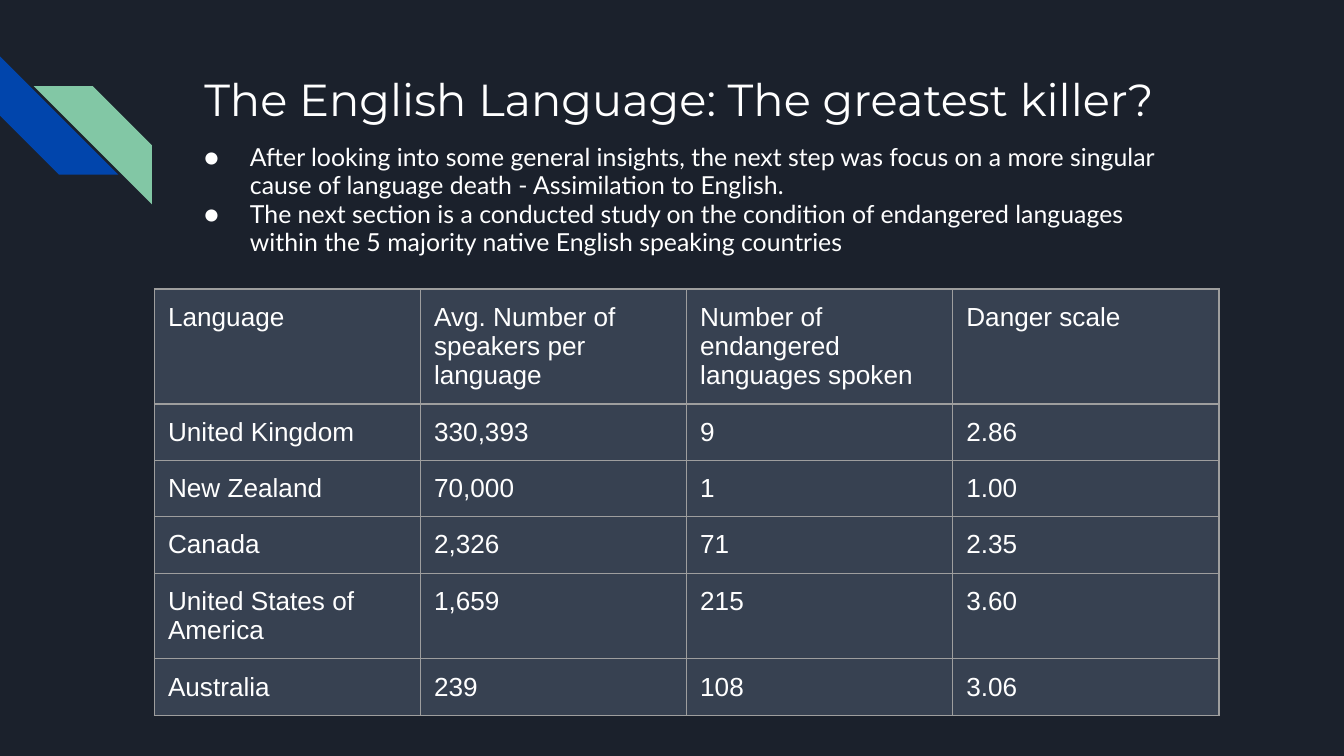
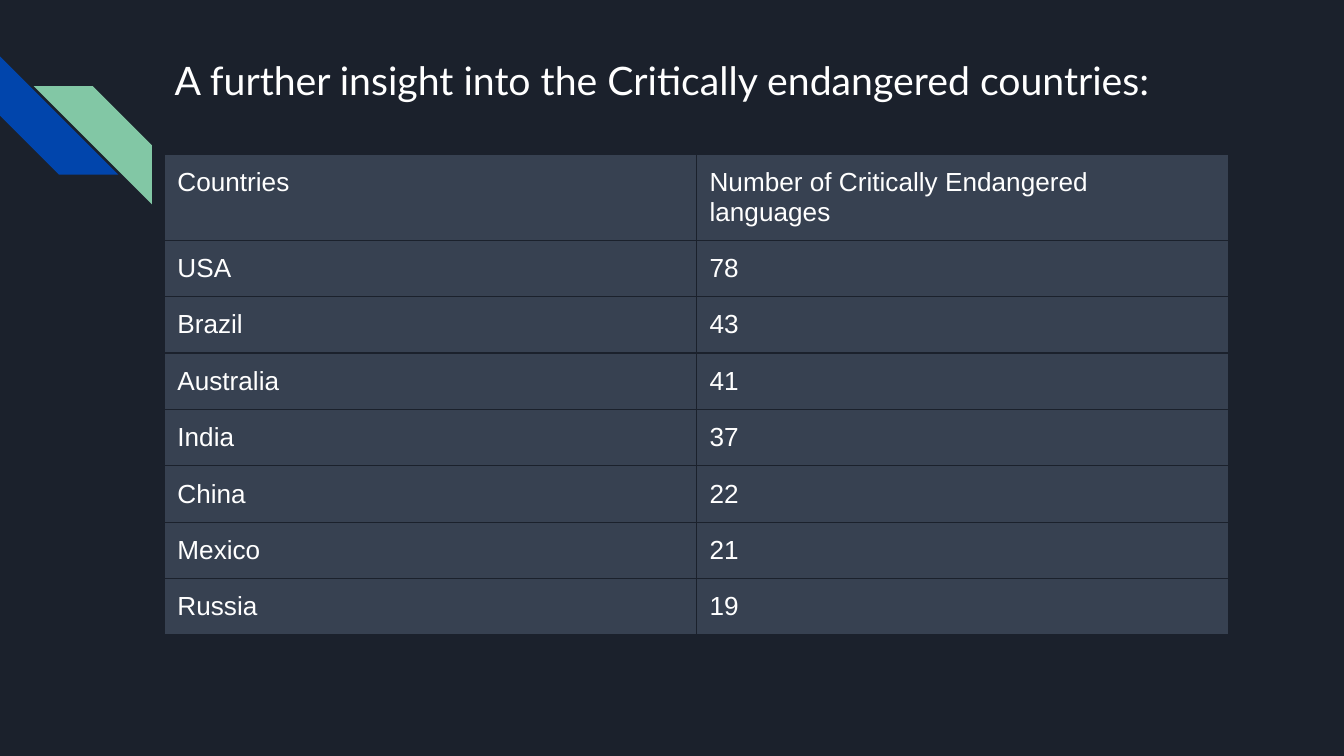
from pptx import Presentation
from pptx import util as u
from pptx.dml.color import RGBColor
from pptx.enum import shapes, text
from pptx.oxml import ns
from lxml import etree

HUES = {
    "back": "1B212C",
    "blue": "0145AC",
    "green": "82C7A5",
    "cell": "374151",
    "grid": "9E9E9E",
    "white": "FFFFFF",
}
ROW = 0.42
WIDTH = 7.92
PAD = u.Inches(0.1)

SPEECH = [
    ("Language", "Avg. Number of speakers per language",
     "Number of endangered languages spoken", "Danger scale"),
    ("United Kingdom", "330,393", "9", "2.86"),
    ("New Zealand", "70,000", "1", "1.00"),
    ("Canada", "2,326", "71", "2.35"),
    ("United States of America", "1,659", "215", "3.60"),
    ("Australia", "239", "108", "3.06"),
]
LANDS = [
    ("Countries", "Number of Critically Endangered languages"),
    ("USA", "78"),
    ("Brazil", "43"),
    ("Australia", "41"),
    ("India", "37"),
    ("China", "22"),
    ("Mexico", "21"),
    ("Russia", "19"),
]
POINTS = [
    "After looking into some general insights, the next step was focus on a more "
    "singular cause of language death - Assimilation to English.",
    "The next section is a conducted study on the condition of endangered languages "
    "within the 5 majority native English speaking countries",
]


def hue(name):
    return RGBColor.from_string(HUES[name])


def node(base, tag, **attrs):
    return etree.SubElement(base, ns.qn(tag), attrs)


def add_run(para, words, font, size):
    run = para.add_run()
    run.text = words
    run.font.name = font
    run.font.size = u.Pt(size)
    run.font.color.rgb = hue("white")


def pad(item):
    item.margin_left = item.margin_right = PAD
    item.margin_top = item.margin_bottom = PAD


def place(holder, box):
    holder.left, holder.top, holder.width, holder.height = map(u.Inches, box)
    frame = holder.text_frame
    pad(frame)
    frame.word_wrap = True
    frame.auto_size = text.MSO_AUTO_SIZE.NONE
    frame.vertical_anchor = text.MSO_ANCHOR.TOP
    return frame


def add_title(slide, words, box, font, size):
    para = place(slide.shapes.title, box).paragraphs[0]
    para.alignment = text.PP_ALIGN.LEFT
    add_run(para, words, font, size)


def add_list(slide, points, box):
    frame = place(slide.placeholders[1], box)
    for i, words in enumerate(points):
        para = frame.add_paragraph() if i else frame.paragraphs[0]
        para.line_spacing = 0.95
        para.space_before = u.Pt(0)
        props = para._p.get_or_add_pPr()
        props.set("marL", str(u.Inches(0.5)))
        props.set("indent", str(u.Inches(-0.34)))
        node(node(props, "a:buClr"), "a:srgbClr", val=HUES["white"])
        node(props, "a:buFont", typeface="Lato")
        node(props, "a:buChar", char="●")
        add_run(para, words, "Lato", 13.3)


def add_edges(cell, line):
    props = cell._tc.get_or_add_tcPr()
    for side in "LRTB":
        edge = node(props, "a:ln" + side, w=str(u.Pt(0.75)))
        node(node(edge, "a:solidFill"), "a:srgbClr", val=HUES[line])


def add_grid(slide, rows, left, top, line):
    area = map(u.Inches, (left, top, WIDTH, ROW * len(rows)))
    grid = slide.shapes.add_table(len(rows), len(rows[0]), *area).table
    for r, row in enumerate(rows):
        for c, words in enumerate(row):
            cell = grid.cell(r, c)
            pad(cell)
            add_edges(cell, line)
            cell.fill.solid()
            cell.fill.fore_color.rgb = hue("cell")
            add_run(cell.text_frame.paragraphs[0], words, "Arial", 14)


def add_stripe(slide, left, top, name):
    area = map(u.Inches, (left, top, 0.88, 0.88))
    stripe = slide.shapes.add_shape(shapes.MSO_SHAPE.DIAGONAL_STRIPE, *area)
    stripe.adjustments[0] = 0.5
    stripe.shadow.inherit = False
    stripe.fill.solid()
    stripe.fill.fore_color.rgb = hue(name)
    stripe.line.fill.background()
    return stripe


def add_page(deck, layout):
    slide = deck.slides.add_slide(deck.slide_layouts.get_by_name(layout))
    add_stripe(slide, 0, 0.42, "blue").rotation = 270
    green = add_stripe(slide, 0.25, 0.64, "green")
    green._element.spPr.xfrm.set("flipH", "1")
    return slide


def main():
    deck = Presentation()
    deck.slide_width = u.Inches(10)
    deck.slide_height = u.Inches(10 * 9 / 16)
    fill = deck.slide_master.background.fill
    fill.solid()
    fill.fore_color.rgb = hue("back")

    slide = add_page(deck, "Title and Content")
    add_title(slide, "The English Language: The greatest killer?",
              (1.42, 0.43, 7.7, 1), "Montserrat", 24)
    add_list(slide, POINTS, (1.26, 0.97, 7.7, 1.18))
    add_grid(slide, SPEECH, 1.15, 2.15, "grid")

    slide = add_page(deck, "Title Only")
    add_title(slide, "A further insight into the Critically endangered countries:",
              (1.2, 0.32, 7.94, 0.73), "Lato", 21)
    add_grid(slide, LANDS, 1.22, 1.15, "back")

    deck.save("out.pptx")


if __name__ == "__main__":
    main()
